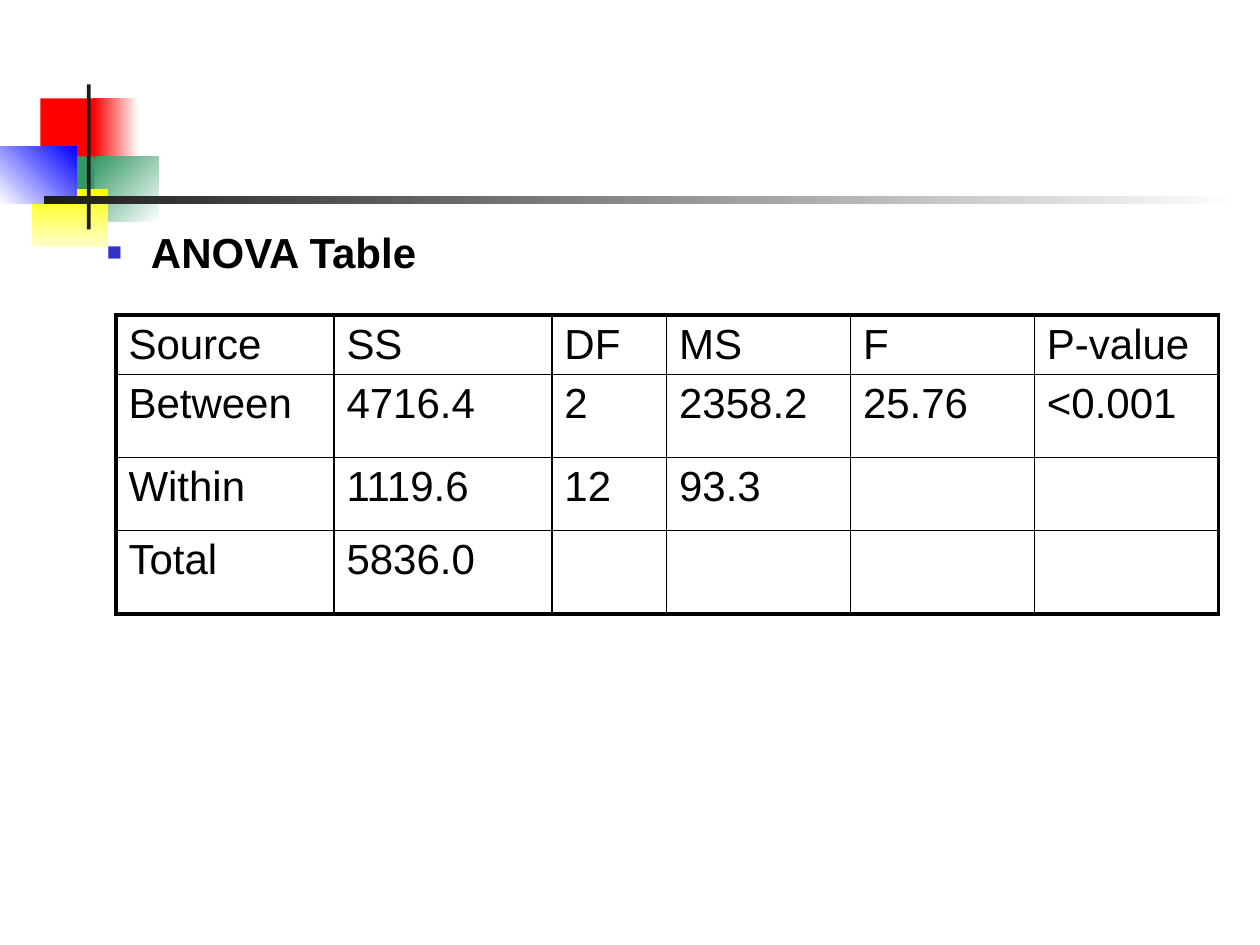
"""Build a slide with an ANOVA table beside a corner motif of coloured blocks."""
from lxml.etree import SubElement
from pptx import Presentation
from pptx.dml.color import RGBColor
from pptx.enum.shapes import MSO_SHAPE
from pptx.oxml.ns import qn
from pptx.util import Inches, Pt

COLORS = {
    "black": "000000", "white": "FFFFFF", "red": "FF0000", "green": "339966",
    "yellow": "FFFF00", "cream": "FFFFCC", "blue": "0000FF",
    "ink": "1C1C1C", "bullet": "3333CC",
}


def add_text(para, text, bold=False):
    run = para.add_run()
    run.text = text
    run.font.name = "Arial"
    run.font.size = Pt(24)
    run.font.bold = bold
    run.font.color.rgb = RGBColor.from_string(COLORS["black"])


def add_edge(cell, side, width):
    line = SubElement(cell._tc.get_or_add_tcPr(), qn(f"a:ln{side}"), w=str(Pt(width)))
    fill = SubElement(line, qn("a:solidFill"))
    SubElement(fill, qn("a:srgbClr"), val=COLORS["black"])


deck = Presentation()
deck.slide_width, deck.slide_height = Inches(10), Inches(7.5)
slide = deck.slides.add_slide(deck.slide_layouts[6])

blocks = [
    (0.32, 0.78, 0.48, 0.52, ["red"], 0),
    (0.74, 0.78, 0.36, 0.52, ["red", "white"], 0),
    (0.75, 1.24, 0.51, 0.52, ["green", "white"], 315),
    (0.43, 1.24, 0.32, 0.52, ["green"], 0),
    (0.25, 1.5, 0.61, 0.46, ["yellow", "cream"], 270),
    (0, 1.16, 0.61, 0.46, ["white", "blue"], 45),
    (0.69, 0.67, 0.03, 1.15, ["ink"], 0),
    (0.35, 1.56, 9.51, 0.06, ["ink", "white"], 0),
]
for *place, names, angle in blocks:
    block = slide.shapes.add_shape(MSO_SHAPE.RECTANGLE, *map(Inches, place))
    block.shadow.inherit = False
    block.line.fill.background()
    if len(names) == 1:
        block.fill.solid()
        block.fill.fore_color.rgb = RGBColor.from_string(COLORS[names[0]])
    else:
        block.fill.gradient()
        block.fill.gradient_angle = angle
        for stop, name in zip(block.fill.gradient_stops, names):
            stop.color.rgb = RGBColor.from_string(COLORS[name])

widths = [1.73, 1.73, 0.91, 1.46, 1.46, 1.46]
heights = [0.47, 0.66, 0.58, 0.66]
rows = [
    ["Source", "SS", "DF", "MS", "F", "P-value"],
    ["Between", "4716.4", "2", "2358.2", "25.76", "<0.001"],
    ["Within", "1119.6", "12", "93.3", "", ""],
    ["Total", "5836.0", "", "", "", ""],
]
frame = slide.shapes.add_table(
    len(rows), len(widths), Inches(0.92), Inches(2.5),
    Inches(sum(widths)), Inches(sum(heights)))
table = frame.table
table.first_row = table.horz_banding = False
for column, width in zip(table.columns, widths):
    column.width = Inches(width)
for row, height in zip(table.rows, heights):
    row.height = Inches(height)
for i, values in enumerate(rows):
    for j, value in enumerate(values):
        cell = table.cell(i, j)
        outer = {
            "L": j == 0, "R": j == len(widths) - 1,
            "T": i == 0, "B": i == len(rows) - 1,
        }
        for side, thick in outer.items():
            add_edge(cell, side, 2.25 if thick else 1)
        cell.fill.background()
        if value:
            add_text(cell.text_frame.paragraphs[0], value)

title = slide.shapes.add_textbox(Inches(0.75), Inches(1.75), Inches(8.83), Inches(0.67))
title.text_frame.word_wrap = True
para = title.text_frame.paragraphs[0]
props = para._p.get_or_add_pPr()
props.set("marL", str(Inches(0.35)))
props.set("indent", str(Inches(-0.35)))
color = SubElement(props, qn("a:buClr"))
SubElement(color, qn("a:srgbClr"), val=COLORS["bullet"])
SubElement(props, qn("a:buSzPct"), val="60000")
SubElement(props, qn("a:buFont"), typeface="Arial")
SubElement(props, qn("a:buChar"), char="■")
add_text(para, "ANOVA Table", bold=True)

deck.save("out.pptx")
